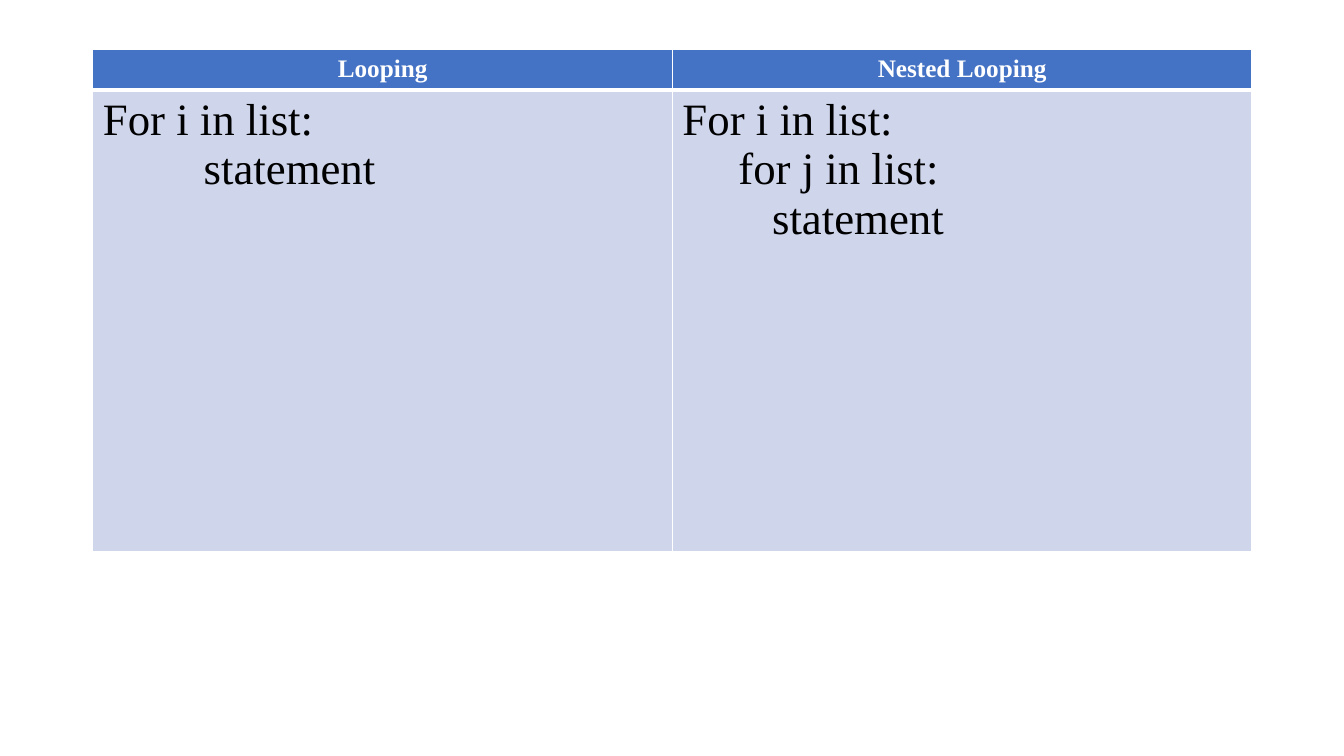
from lxml import etree
from pptx import Presentation
from pptx import util as u
from pptx.dml.color import RGBColor
from pptx.enum import text
from pptx.oxml.ns import qn

COLORS = {"header": "4472C4", "body": "CFD5EA", "white": "FFFFFF", "black": "000000"}
FONT = "Times New Roman"


def add_text(tf, lines, size, color, bold=False, align=text.PP_ALIGN.LEFT):
    """Write (text, indent in cm) lines into a text frame with one format."""
    for i, (line, indent) in enumerate(lines):
        p = tf.paragraphs[0] if i == 0 else tf.add_paragraph()
        p.alignment = align
        if indent:
            pPr = p._p.get_or_add_pPr()
            pPr.set("marL", str(u.Cm(indent)))
            pPr.set("indent", "0")
        r = p.add_run()
        r.text = line
        r.font.name = FONT
        r.font.size = u.Pt(size)
        r.font.bold = bold
        r.font.color.rgb = RGBColor.from_string(COLORS[color])


def style_cell(cell, fill, top=1, bottom=1):
    """Fill a cell and draw its white borders, widths in points."""
    cell.fill.solid()
    cell.fill.fore_color.rgb = RGBColor.from_string(COLORS[fill])
    tcPr = cell._tc.get_or_add_tcPr()
    widths = {"a:lnL": 1, "a:lnR": 1, "a:lnT": top, "a:lnB": bottom}
    for i, (tag, width) in enumerate(widths.items()):
        ln = etree.Element(qn(tag), w=str(u.Pt(width)))
        solid = etree.SubElement(ln, qn("a:solidFill"))
        etree.SubElement(solid, qn("a:srgbClr"), val=COLORS["white"])
        tcPr.insert(i, ln)


prs = Presentation()
prs.slide_width, prs.slide_height = u.Cm(33.87), u.Cm(19.05)
s = prs.slides.add_slide(prs.slide_layouts[6])

# Each column: heading, then code lines with their indent in cm
columns = [
    ("Looping", [("For i in list:", 0), ("statement", 2.54)]),
    ("Nested Looping", [("For i in list:", 0), ("for j in list:", 1.41),
                        ("statement", 2.26)]),
]

tbl = s.shapes.add_table(2, len(columns), u.Cm(2.34), u.Cm(1.25),
                         u.Cm(29.21), u.Cm(12.65)).table
tbl.rows[0].height = u.Cm(1.02)
tbl.rows[1].height = u.Cm(11.63)

for col, (heading, code) in enumerate(columns):
    head, body = tbl.cell(0, col), tbl.cell(1, col)
    style_cell(head, "header", bottom=3)
    add_text(head.text_frame, [(heading, 0)], 18, "white", bold=True,
             align=text.PP_ALIGN.CENTER)
    style_cell(body, "body", top=3)
    add_text(body.text_frame, code, 32, "black")

prs.save("out.pptx")
